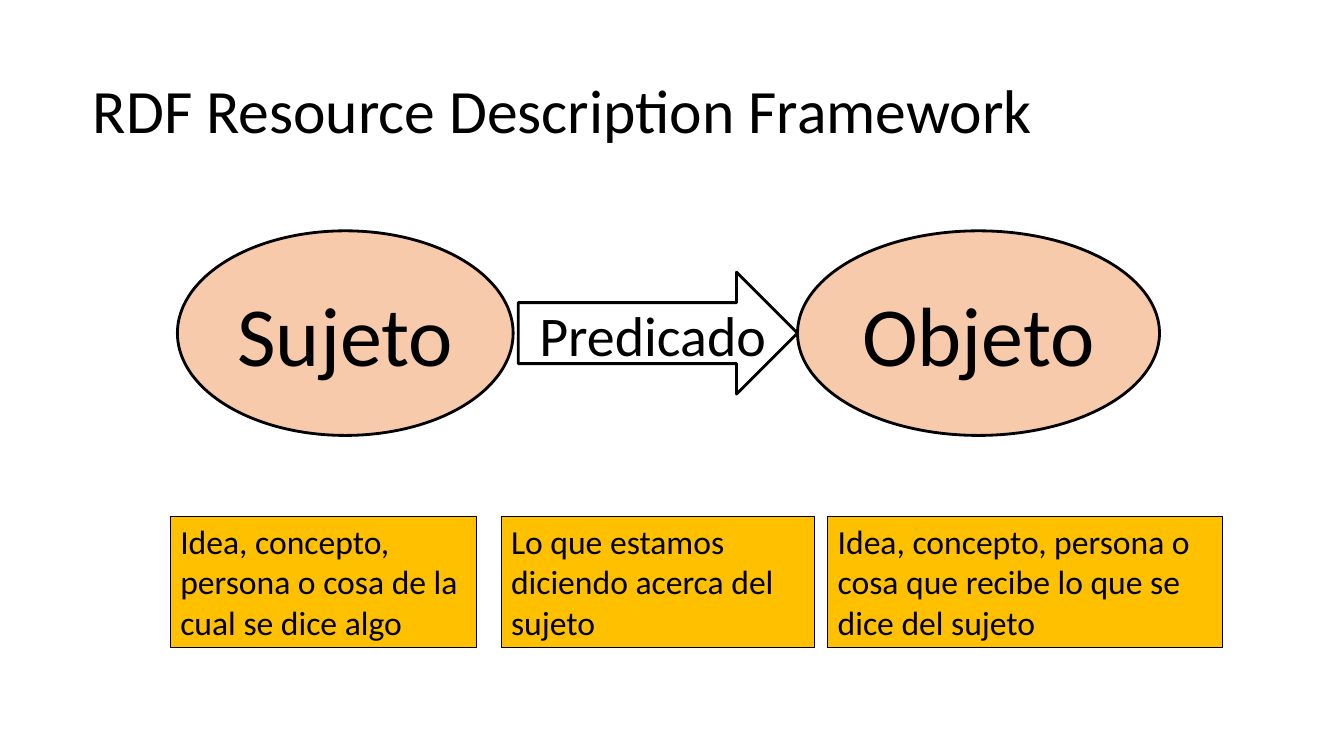
from dataclasses import dataclass

import pptx
import pptx.dml.color
import pptx.enum.shapes
import pptx.enum.text
import pptx.util

Inches = pptx.util.Inches
Shapes = pptx.enum.shapes.MSO_SHAPE
Align = pptx.enum.text.PP_ALIGN
Anchor = pptx.enum.text.MSO_ANCHOR


@dataclass(frozen=True)
class Theme:
    """Colours, font and sizes of the slide."""
    font: str = "Calibri"
    ink: str = "000000"
    node: str = "F7CAAC"
    note: str = "FFC000"
    title_size: int = 44
    node_size: int = 60
    predicate_size: int = 40
    note_size: int = 24
    diagram_line: float = 2
    note_line: float = 0.75


THEME = Theme()


def rgb(code):
    """Turn a hex code into a colour."""
    return pptx.dml.color.RGBColor.from_string(code)


def write(holder, text, size, align=Align.LEFT, anchor=Anchor.TOP, inset=(0.1, 0.05), spacing=1.0):
    """Write one formatted paragraph into a shape or text box."""
    frame = holder.text_frame
    frame.word_wrap = True
    frame.vertical_anchor = anchor
    frame.margin_left = frame.margin_right = Inches(inset[0])
    frame.margin_top = frame.margin_bottom = Inches(inset[1])
    paragraph = frame.paragraphs[0]
    paragraph.alignment = align
    paragraph.line_spacing = spacing
    run = paragraph.add_run()
    run.text = text
    run.font.name = THEME.font
    run.font.size = pptx.util.Pt(size)
    run.font.color.rgb = rgb(THEME.ink)


def add_outline(slide, kind, box, line_width, fill=None):
    """Add an outlined preset shape, filled if a colour is given."""
    shape = slide.shapes.add_shape(kind, *map(Inches, box))
    shape.shadow.inherit = False
    if fill:
        shape.fill.solid()
        shape.fill.fore_color.rgb = rgb(fill)
    else:
        shape.fill.background()
    shape.line.color.rgb = rgb(THEME.ink)
    shape.line.width = pptx.util.Pt(line_width)
    return shape


def add_title(slide, box):
    """Place the slide title."""
    title = slide.shapes.add_textbox(*map(Inches, box))
    write(title, "RDF Resource Description Framework", THEME.title_size,
          anchor=Anchor.MIDDLE, inset=(0, 0), spacing=0.9)


def add_triple(slide, box):
    """Draw subject, predicate arrow and object across the box."""
    left, top, width, height = box
    subject_width, object_width, arrow_height, gap = 3.33, 3.59, 1.21, 0.05
    object_left = left + width - object_width
    for label, node_left, node_width in (("Sujeto", left, subject_width),
                                         ("Objeto", object_left, object_width)):
        node = add_outline(slide, Shapes.OVAL, (node_left, top, node_width, height),
                           THEME.diagram_line, THEME.node)
        write(node, label, THEME.node_size, align=Align.CENTER, anchor=Anchor.MIDDLE)

    arrow_left = left + subject_width + gap
    arrow_top = top + (height - arrow_height) / 2
    add_outline(slide, Shapes.RIGHT_ARROW,
                (arrow_left, arrow_top, object_left - arrow_left, arrow_height),
                THEME.diagram_line)
    predicate = slide.shapes.add_textbox(
        *map(Inches, (arrow_left + 0.11, arrow_top + 0.23, 2.58, 0.76)))
    write(predicate, "Predicado", THEME.predicate_size)


def add_definitions(slide, box):
    """Place the definition of each part of the triple along the box."""
    left, top, width, height = box
    definitions = (
        (0, 3.04, "Idea, concepto, persona o cosa de la cual se dice algo"),
        (3.28, 3.11, "Lo que estamos diciendo acerca del sujeto"),
        (6.52, width - 6.52, "Idea, concepto, persona o cosa que recibe lo que se dice del sujeto"),
    )
    for offset, note_width, definition in definitions:
        note = add_outline(slide, Shapes.RECTANGLE, (left + offset, top, note_width, height),
                           THEME.note_line, THEME.note)
        write(note, definition, THEME.note_size)


def main():
    """Build and save the slide."""
    deck = pptx.Presentation()
    deck.slide_width = Inches(13.33)
    deck.slide_height = Inches(7.5)
    slide = deck.slides.add_slide(deck.slide_layouts[6])
    add_title(slide, (0.92, 0.4, 11.5, 1.45))
    add_triple(slide, (1.76, 2.29, 9.74, 2.03))
    add_definitions(slide, (1.69, 5.12, 10.44, 1.3))
    deck.save("out.pptx")


if __name__ == "__main__":
    main()
